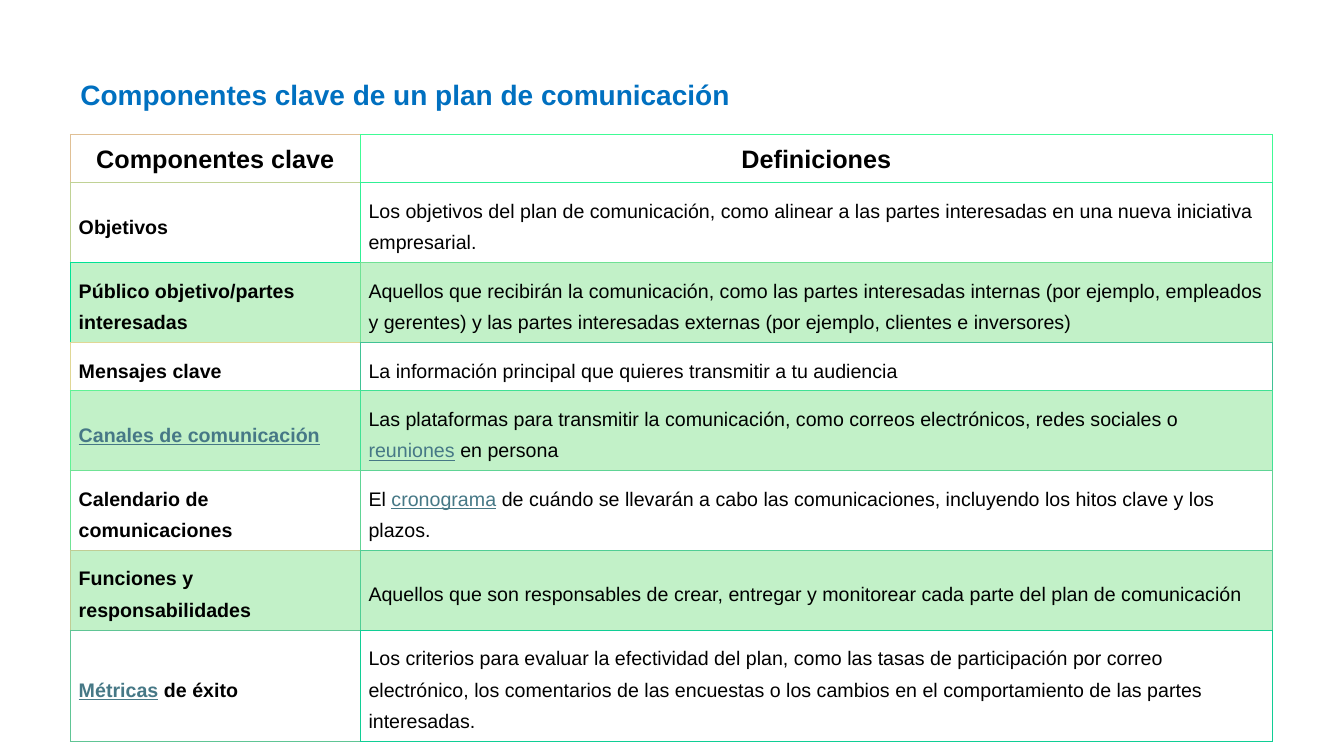
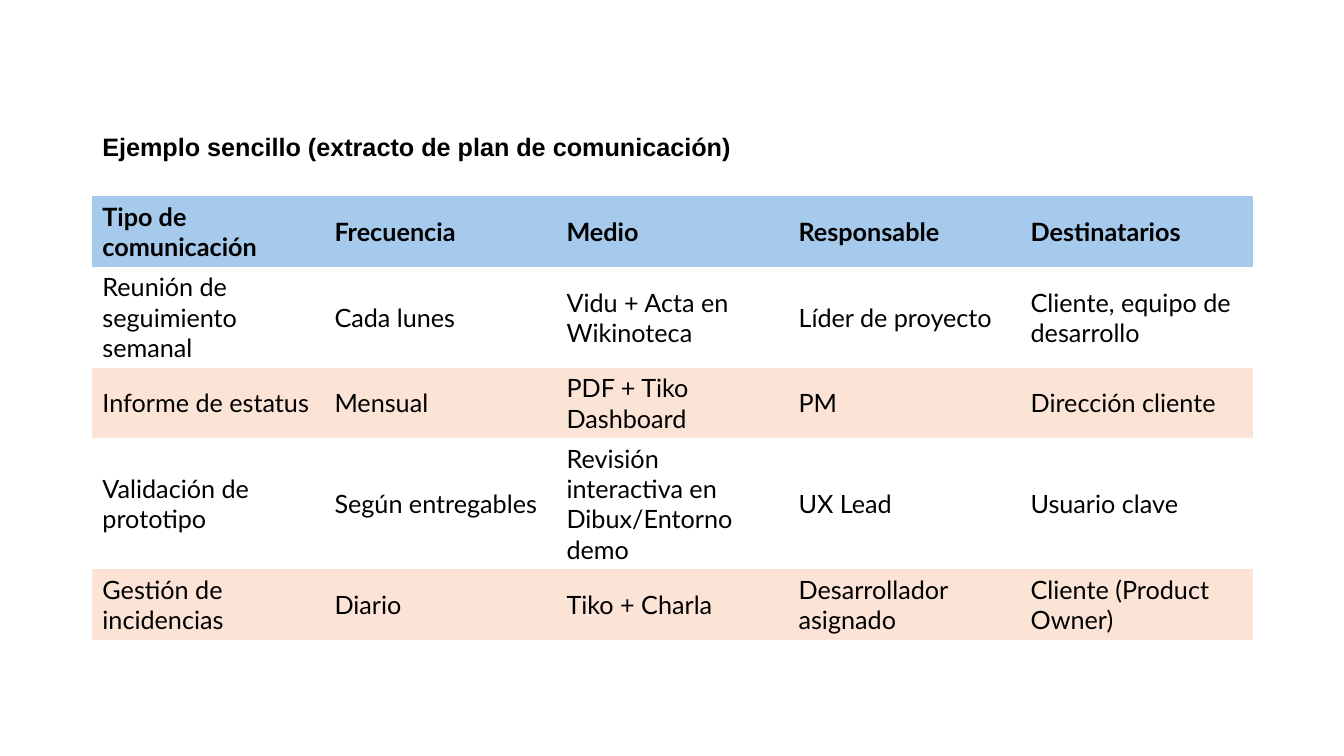
from lxml.etree import SubElement
from pptx import Presentation
from pptx.dml.color import RGBColor as RGB
from pptx.enum.text import MSO_ANCHOR as Anchor, MSO_AUTO_SIZE as Fit, PP_ALIGN as Align
from pptx.oxml.ns import qn
from pptx.util import Pt

PX = 9525
BLACK = RGB(0x00, 0x00, 0x00)
WHITE = RGB(0xFF, 0xFF, 0xFF)
BLUE = RGB(0x00, 0x70, 0xC0)
LINK = RGB(0x46, 0x78, 0x86)
GREEN = RGB(0xC2, 0xF1, 0xC8)
SKY = RGB(0xA6, 0xCA, 0xEC)
PEACH = RGB(0xFB, 0xE3, 0xD6)
PLAIN = "{2D5ABB26-0587-4C30-8999-92F81FD0307C}"

# Each row: line colours of its two cells, then their texts; |links| are marked.
PARTS = [
    ("E0C095", "40FC95", "Componentes clave", "Definiciones"),
    ("C0D295", "30F095", "Objetivos",
     "Los objetivos del plan de comunicación, como alinear a las partes interesadas "
     "en una nueva iniciativa empresarial."),
    ("00E395", "70E195", "Público objetivo/partes interesadas",
     "Aquellos que recibirán la comunicación, como las partes interesadas internas "
     "(por ejemplo, empleados y gerentes) y las partes interesadas externas "
     "(por ejemplo, clientes e inversores)"),
    ("E0D795", "40C295", "Mensajes clave",
     "La información principal que quieres transmitir a tu audiencia"),
    ("60F295", "40E195", "|Canales de comunicación|",
     "Las plataformas para transmitir la comunicación, como correos electrónicos, "
     "redes sociales o |reuniones| en persona"),
    ("70E395", "60D495", "Calendario de comunicaciones",
     "El |cronograma| de cuándo se llevarán a cabo las comunicaciones, "
     "incluyendo los hitos clave y los plazos."),
    ("C0CD95", "50CD95", "Funciones y responsabilidades",
     "Aquellos que son responsables de crear, entregar y monitorear cada parte "
     "del plan de comunicación"),
    ("60C595", "10CE95", "|Métricas| de éxito",
     "Los criterios para evaluar la efectividad del plan, como las tasas de "
     "participación por correo electrónico, los comentarios de las encuestas o los "
     "cambios en el comportamiento de las partes interesadas."),
]
PLAN = [
    ("Tipo de comunicación", "Frecuencia", "Medio", "Responsable", "Destinatarios"),
    ("Reunión de seguimiento semanal", "Cada lunes", "Vidu + Acta en Wikinoteca",
     "Líder de proyecto", "Cliente, equipo de desarrollo"),
    ("Informe de estatus", "Mensual", "PDF + Tiko Dashboard", "PM", "Dirección cliente"),
    ("Validación de prototipo", "Según entregables",
     "Revisión interactiva en Dibux/Entorno demo", "UX Lead", "Usuario clave"),
    ("Gestión de incidencias", "Diario", "Tiko + Charla", "Desarrollador asignado",
     "Cliente (Product Owner)"),
]


def write(para, text, size, face="Arial", color=BLACK, bold=False):
    """Add runs; parts between bars look like links."""
    for i, part in enumerate(text.split("|")):
        if part:
            run = para.add_run()
            run.text = part
            font = run.font
            font.name, font.size, font.bold = face, Pt(size), bold
            font.color.rgb = LINK if i % 2 else color
            font.underline = bool(i % 2)


def add_title(slide, x, y, h, text, size, color, pitch=None):
    box = slide.shapes.add_textbox(x * PX, y * PX, 640 * PX, h * PX)
    frame = box.text_frame
    frame.word_wrap = True
    frame.auto_size = Fit.SHAPE_TO_FIT_TEXT
    para = frame.paragraphs[0]
    if pitch:
        para.line_spacing = Pt(pitch)
    write(para, text, size, color=color, bold=True)


def add_grid(slide, x, y, cols, rows):
    """Add a table without style, sized by its column widths and row heights."""
    frame = slide.shapes.add_table(len(rows), len(cols), x * PX, y * PX,
                                   sum(cols) * PX, sum(rows) * PX)
    grid = frame.table
    grid.first_row = grid.horz_banding = False
    grid._tbl.tblPr.find(qn("a:tableStyleId")).text = PLAIN
    for col, w in zip(grid.columns, cols):
        col.width = w * PX
    for row, h in zip(grid.rows, rows):
        row.height = h * PX
    return grid


def paint(cell, color):
    cell.vertical_anchor = Anchor.MIDDLE
    if color is None:
        cell.fill.background()
    else:
        cell.fill.solid()
        cell.fill.fore_color.rgb = color


def edge(cell, **sides):
    """Draw cell lines, given as L, R, T and B colours in that order."""
    props = cell._tc.get_or_add_tcPr()
    for i, (side, color) in enumerate(sides.items()):
        line = SubElement(props, qn("a:ln" + side), w=str(Pt(0.75)))
        fill = SubElement(line, qn("a:solidFill"))
        SubElement(fill, qn("a:srgbClr"), val=color)
        props.insert(i, line)


def add_parts(slide):
    add_title(slide, 67, 58, 48, "Componentes clave de un plan de comunicación",
              20, BLUE, 32.2)
    grid = add_grid(slide, 67, 128, [276, 869], [41, 66, 70, 41, 66, 66, 66, 70])
    for r, (left, right, *texts) in enumerate(PARTS):
        below = PARTS[min(r + 1, len(PARTS) - 1)]
        head = r == 0
        for c, text in enumerate(texts):
            cell = grid.cell(r, c)
            cell.margin_left = cell.margin_right = 8 * PX
            cell.margin_top = cell.margin_bottom = 8 * PX
            paint(cell, GREEN if r in (2, 4, 6) else WHITE)
            near = (left, right)[c]
            edge(cell, L=near, R=right, T=near, B=below[c])
            para = cell.text_frame.paragraphs[0]
            para.line_spacing = Pt(22.5)
            para.alignment = Align.CENTER if head else Align.LEFT
            write(para, text, 18 if head else 14, bold=head or c == 0)


def add_plan(slide):
    add_title(slide, 88, 120, 38,
              "Ejemplo sencillo (extracto de plan de comunicación)", 18, BLACK)
    grid = add_grid(slide, 88, 187, [221] * 5, [67, 96, 67, 124, 67])
    for r, texts in enumerate(PLAN):
        color = SKY if r == 0 else None if r % 2 else PEACH
        for c, text in enumerate(texts):
            cell = grid.cell(r, c)
            paint(cell, color)
            write(cell.text_frame.paragraphs[0], text, 18, "Lato", bold=r == 0)


def main():
    deck = Presentation()
    deck.slide_width, deck.slide_height = 1280 * PX, 720 * PX
    for build in (add_parts, add_plan):
        build(deck.slides.add_slide(deck.slide_layouts[6]))
    deck.save("out.pptx")


if __name__ == "__main__":
    main()
